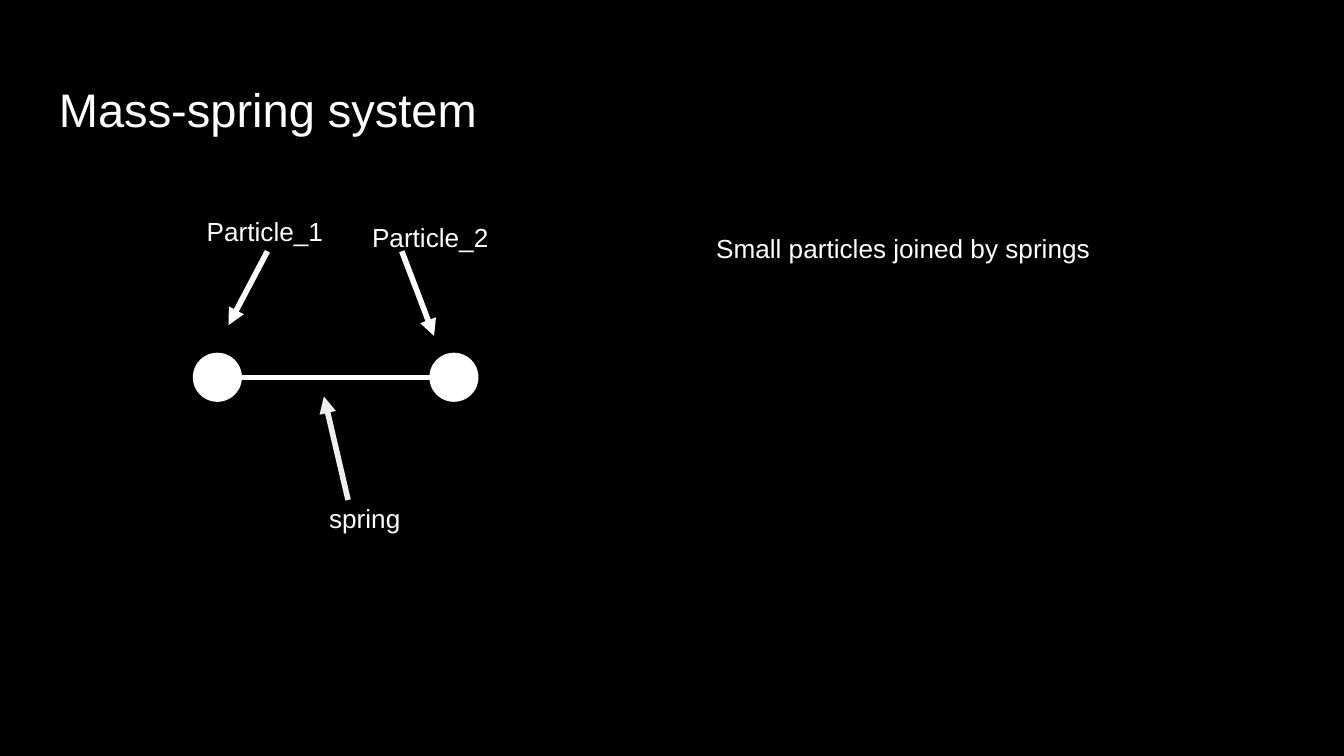
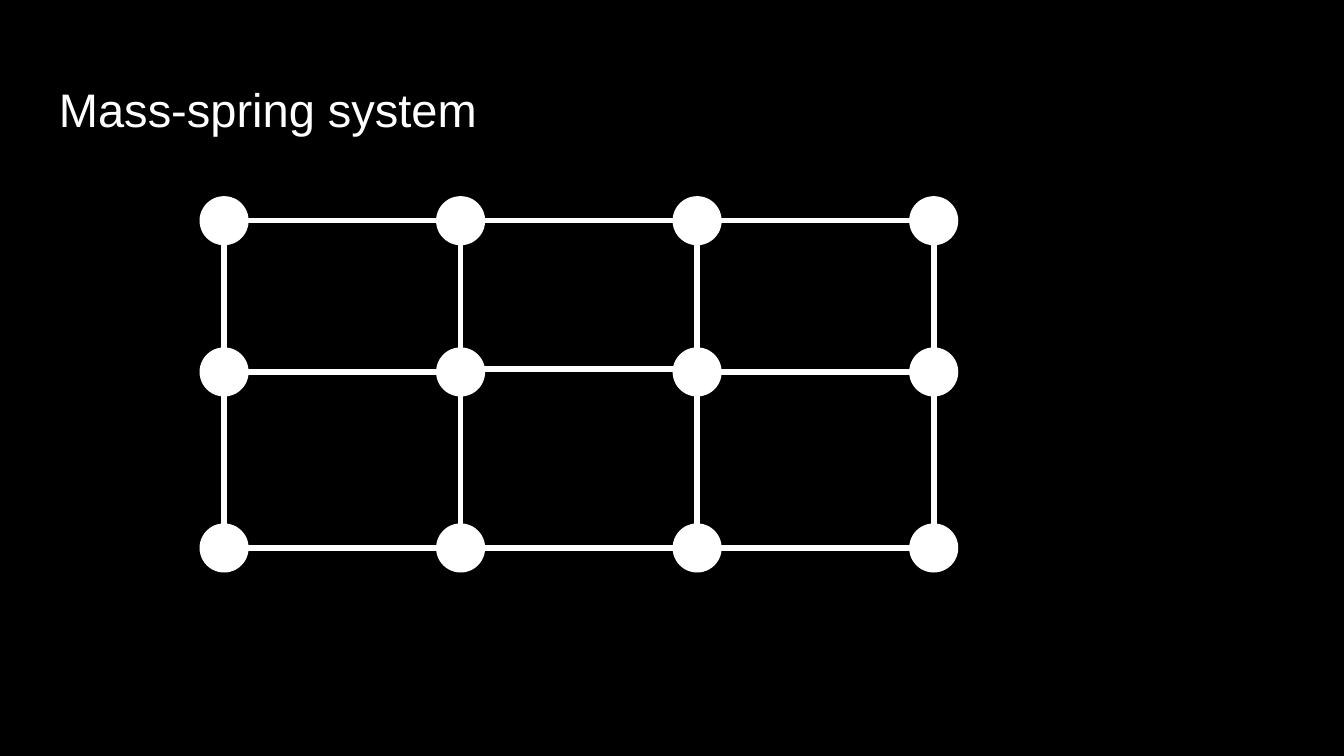
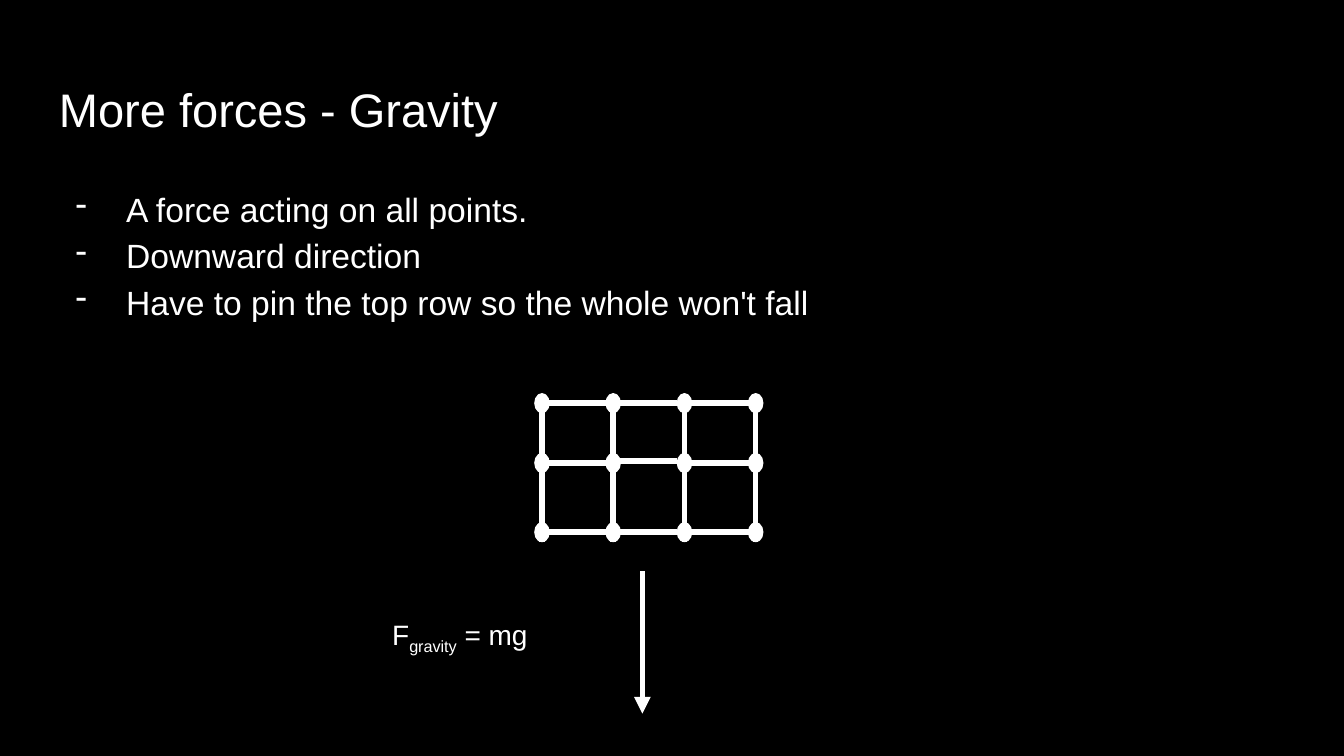
from pptx import Presentation
from pptx.dml.color import RGBColor
from pptx.enum.shapes import MSO_CONNECTOR as CONN, MSO_SHAPE as SHAPE
from pptx.enum.text import MSO_ANCHOR as ANCHOR, MSO_AUTO_SIZE as AUTO
from pptx.oxml.ns import qn
from pptx.util import Emu, Pt
from lxml.etree import SubElement

# Shared style: 200 px to the inch
PX = 4572
FONT = "Arial"
BLACK = RGBColor(0x00, 0x00, 0x00)
WHITE = RGBColor(0xFF, 0xFF, 0xFF)
PALE = RGBColor(0xEE, 0xEE, 0xEE)


def px(n):
    return Emu(round(n * PX))


class Deck:
    def __init__(self):
        self.prs = Presentation()
        self.prs.slide_width, self.prs.slide_height = px(2000), px(1125)
        self.s = None

    def slide(self, title):
        self.s = self.prs.slides.add_slide(self.prs.slide_layouts[6])
        fill = self.s.background.fill
        fill.solid()
        fill.fore_color.rgb = BLACK
        tf = self.text(68, 98, 1864, 126, [title], 25.2, grow=False)
        tf.vertical_anchor = ANCHOR.BOTTOM

    def style(self, font, size):
        font.name, font.size = FONT, Pt(size)
        font.color.rgb = WHITE

    def text(self, x, y, w, h, lines, size=14, spacing=None, grow=True):
        tf = self.s.shapes.add_textbox(px(x), px(y), px(w), px(h)).text_frame
        tf.word_wrap = True
        tf.auto_size = AUTO.SHAPE_TO_FIT_TEXT if grow else AUTO.NONE
        tf.margin_left = tf.margin_right = tf.margin_top = tf.margin_bottom = px(20)
        tf.text = "\n".join(lines)
        for p in tf.paragraphs:
            if spacing:
                p.line_spacing = spacing
            for r in p.runs:
                self.style(r.font, size)
        return tf

    def bullets(self, x, y, w, h, lines, size):
        tf = self.text(x, y, w, h, lines, size, spacing=1.15, grow=False)
        for p in tf.paragraphs:
            pPr = p._p.get_or_add_pPr()
            pPr.set("marL", str(px(100)))
            pPr.set("indent", str(-px(75)))
            color = SubElement(pPr, qn("a:buClr"))
            SubElement(color, qn("a:srgbClr")).set("val", str(WHITE))
            SubElement(pPr, qn("a:buChar")).set("char", "-")

    def particle(self, x, y, w, h, shapes=None):
        shapes = self.s.shapes if shapes is None else shapes
        sp = shapes.add_shape(SHAPE.OVAL, px(x), px(y), px(w), px(h))
        sp.shadow.inherit = False
        sp.fill.solid()
        sp.fill.fore_color.rgb = WHITE
        sp.line.color.rgb = WHITE
        sp.line.width = Pt(0.75)

    def line(self, x1, y1, x2, y2, color=WHITE, arrow=False, shapes=None):
        shapes = self.s.shapes if shapes is None else shapes
        c = shapes.add_connector(CONN.STRAIGHT, px(x1), px(y1), px(x2), px(y2))
        c.line.color.rgb = color
        c.line.width = Pt(3)
        if arrow:
            SubElement(c.line._get_or_add_ln(), qn("a:tailEnd")).set("type", "triangle")
        SubElement(c._element.spPr, qn("a:effectLst"))

    def lattice(self, left, step, tops, w, h, lift, shapes=None):
        """Four columns of particles; the middle spring sits a little higher."""
        xs = [left + step * i for i in range(4)]
        for row, y in enumerate(tops):
            for x in xs:
                self.particle(x, y, w, h, shapes)
            for col, x in enumerate(xs[:-1]):
                mid = y + h / 2 - (lift if (row, col) == (1, 1) else 0)
                self.line(x + w, mid, x + step, mid, shapes=shapes)
        for x in xs:
            self.line(x + w / 2, tops[0] + h / 2, x + w / 2, tops[-1] + h, shapes=shapes)


def main():
    d = Deck()

    # Two particles and a spring
    d.slide("Mass-spring system")
    for x in (288, 640):
        d.particle(x, 526, 71, 71)
    d.line(359, 562, 640, 562)
    d.line(518, 744, 482, 590, PALE, arrow=True)
    d.line(398, 374, 340, 484, arrow=True)
    d.line(598, 374, 646, 500, arrow=True)
    for x, y, w, label in [
        (470, 728, 296, "spring"),
        (534, 310, 232, "Particle_2"),
        (288, 300, 232, "Particle_1"),
        (1046, 326, 754, "Small particles joined by springs"),
    ]:
        d.text(x, y, w, 88, [label])

    # Lattice of particles
    d.slide("Mass-spring system")
    d.lattice(298, 352, (293, 518, 780), 71, 71, lift=4)

    # Gravity
    d.slide("More forces - Gravity")
    d.bullets(68, 252, 1864, 362, [
        "A force acting on all points.",
        "Downward direction",
        "Have to pin the top row so the whole won't fall",
    ], 18)
    group = d.s.shapes.add_group_shape()
    d.lattice(796, 106, (586, 675, 778), 21, 28, lift=3, shapes=group.shapes)
    d.line(956, 850, 956, 1062, arrow=True)

    # Force formula with a subscript
    p = d.text(564, 890, 332, 90, ["F"], 15, spacing=1.15).paragraphs[0]
    p.space_after = Pt(12)
    for part in ("gravity", " = mg"):
        r = p.add_run()
        r.text = part
        d.style(r.font, 15)
    p.runs[1].font._element.set("baseline", "-25000")

    d.prs.save("out.pptx")


if __name__ == "__main__":
    main()
